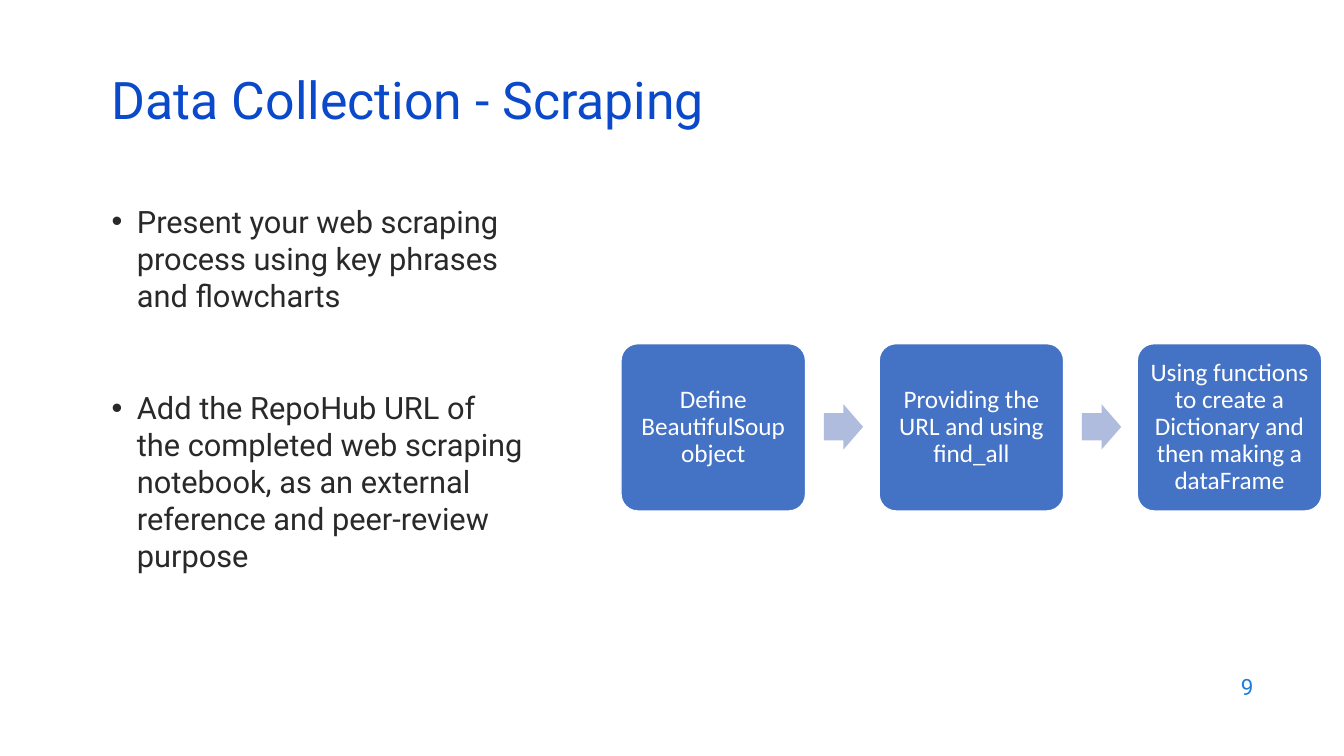
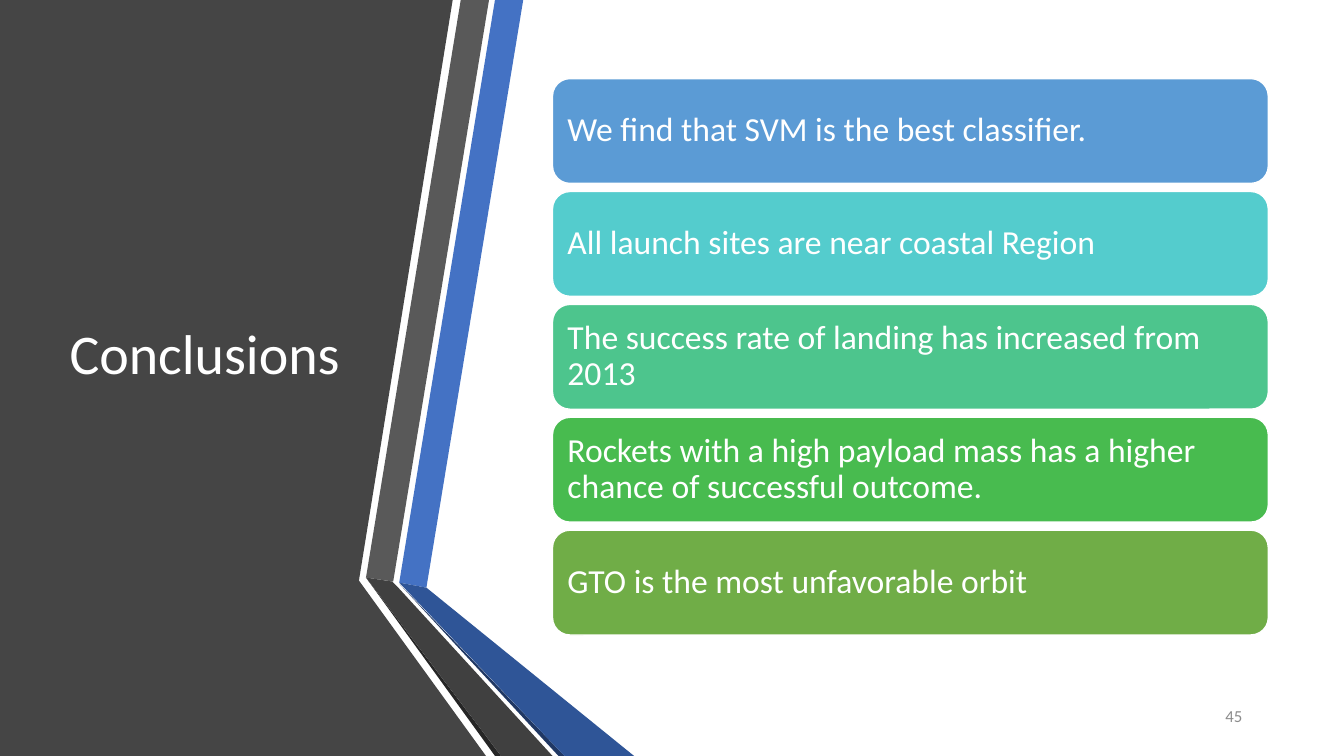
"""Build a scraping flowchart slide and a conclusions slide."""
from lxml.etree import SubElement
from pptx import Presentation
from pptx.dml.color import RGBColor
from pptx.enum.shapes import MSO_SHAPE
from pptx.enum.text import MSO_ANCHOR, MSO_AUTO_SIZE, PP_ALIGN
from pptx.oxml.ns import qn
from pptx.util import Inches, Pt

WHITE = "FFFFFF"
BLUE = "4472C4"


def paint(sp, fill, line=None):
    sp.shadow.inherit = False
    sp.fill.solid()
    sp.fill.fore_color.rgb = RGBColor.from_string(fill)
    if line:
        sp.line.color.rgb = RGBColor.from_string(line)
        sp.line.width = Pt(1)
    else:
        sp.line.fill.background()


def write(sp, text, size, font, color, align=PP_ALIGN.LEFT, spacing=None, inset=None):
    tf = sp.text_frame
    tf.text = text
    tf.word_wrap = True
    tf.auto_size = MSO_AUTO_SIZE.NONE
    tf.vertical_anchor = MSO_ANCHOR.MIDDLE
    if inset is not None:
        tf.margin_left = tf.margin_right = Inches(inset)
        tf.margin_top = tf.margin_bottom = Inches(inset)
    for p in tf.paragraphs:
        p.alignment = align
        p.line_spacing = spacing
        for r in p.runs:
            r.font.size = Pt(size)
            r.font.name = font
            r.font.color.rgb = RGBColor.from_string(color)


prs = Presentation()
prs.slide_width = Inches(13.33)
prs.slide_height = Inches(7.5)
title_only = prs.slide_layouts[5]

s = prs.slides.add_slide(title_only)
title = s.shapes.title
title.left, title.top = Inches(1.01), Inches(0.76)
title.width, title.height = Inches(11.5), Inches(0.6)
write(title, "Data Collection - Scraping", 37, "Roboto", "0B49CB", spacing=0.7)

body = s.shapes.add_textbox(Inches(1.01), Inches(1.96), Inches(4.3), Inches(4.17))
points = [
    "Present your web scraping process using key phrases and flowcharts",
    "Add the RepoHub URL of the completed web scraping notebook, "
    "as an external reference and peer-review purpose",
]
write(body, "\n".join(points), 22, "Roboto", "292929")
body.text_frame.vertical_anchor = MSO_ANCHOR.TOP
for p in body.text_frame.paragraphs:
    pPr = p._p.get_or_add_pPr()
    pPr.set("marL", str(Inches(0.25)))
    pPr.set("indent", str(Inches(-0.25)))
    SubElement(pPr, qn("a:buFont"), typeface="Arial")
    SubElement(pPr, qn("a:buChar"), char="•")
body.text_frame.paragraphs[1].space_before = Pt(54)

steps = [
    "Define BeautifulSoup object",
    "Providing the URL and using find_all",
    "Using functions to create a Dictionary and then making a dataFrame",
]
for i, step in enumerate(steps):
    left = 6.16 + 2.56 * i
    sp = s.shapes.add_shape(MSO_SHAPE.ROUNDED_RECTANGLE, Inches(left), Inches(3.41), Inches(1.83), Inches(1.66))
    sp.adjustments[0] = 0.1
    paint(sp, BLUE, WHITE)
    write(sp, step, 18, "Calibri", WHITE, PP_ALIGN.CENTER, 0.9, 0.07)
    if i < len(steps) - 1:
        arrow = s.shapes.add_shape(MSO_SHAPE.RIGHT_ARROW, Inches(left + 2.01), Inches(4.01), Inches(0.39), Inches(0.45))
        arrow.adjustments[0] = 0.6
        paint(arrow, "B0BCDE")

number = s.shapes.add_textbox(Inches(9.53), Inches(6.59), Inches(3), Inches(0.44))
write(number, "9", 16, "Roboto", "1C7DDB", PP_ALIGN.RIGHT)

s = prs.slides.add_slide(title_only)
facets = [
    ("454545", [(0, 0), (4.49, 0), (3.56, 5.76), (4.82, 7.5), (0, 7.5)]),
    (BLUE, [(3.96, 5.78), (4.23, 5.83), (5.19, 0), (4.91, 0)]),
    ("595959", [(4.85, 0), (4.57, 0), (3.63, 5.73), (3.9, 5.77)]),
    ("262626", [(3.63, 5.73), (4.91, 7.5), (4.97, 7.5)]),
    ("203864", [(3.96, 5.79), (5.54, 7.5), (5.6, 7.5)]),
    ("2F5597", [(3.96, 5.78), (5.6, 7.5), (6.29, 7.5), (4.23, 5.83)]),
    ("404040", [(5.48, 7.5), (3.95, 5.83), (3.89, 5.77), (3.63, 5.73), (4.97, 7.5)]),
]
for color, corners in facets:
    start, *rest = [(Inches(x), Inches(y)) for x, y in corners]
    builder = s.shapes.build_freeform(*start)
    builder.add_line_segments(rest, close=True)
    paint(builder.convert_to_shape(), color)

title = s.shapes.title
title.element.getparent().append(title.element)
title.left, title.top = Inches(0.59), Inches(0.75)
title.width, title.height = Inches(3.04), Inches(5.58)
write(title, "Conclusions", 40, "Calibri", WHITE, spacing=0.9)

findings = [
    ("5B9BD5", "We find that SVM is the best classifier."),
    ("54CCCD", "All launch sites are near coastal Region"),
    ("4DC58D", "The success rate of landing has increased from 2013"),
    ("48BB4F", "Rockets with a high payload mass has a higher chance of successful outcome."),
    ("70AD47", "GTO is the most unfavorable orbit"),
]
for i, (color, finding) in enumerate(findings):
    sp = s.shapes.add_shape(MSO_SHAPE.ROUNDED_RECTANGLE, Inches(5.48), Inches(0.78 + 1.12 * i), Inches(7.1), Inches(1.04))
    paint(sp, color, WHITE)
    write(sp, finding, 24, "Calibri", WHITE, spacing=0.9, inset=0.1)

number = s.shapes.add_textbox(Inches(11.23), Inches(6.9), Inches(1.19), Inches(0.4))
write(number, "45", 12, "Calibri", "8C8C8C", PP_ALIGN.RIGHT)

prs.save("out.pptx")
